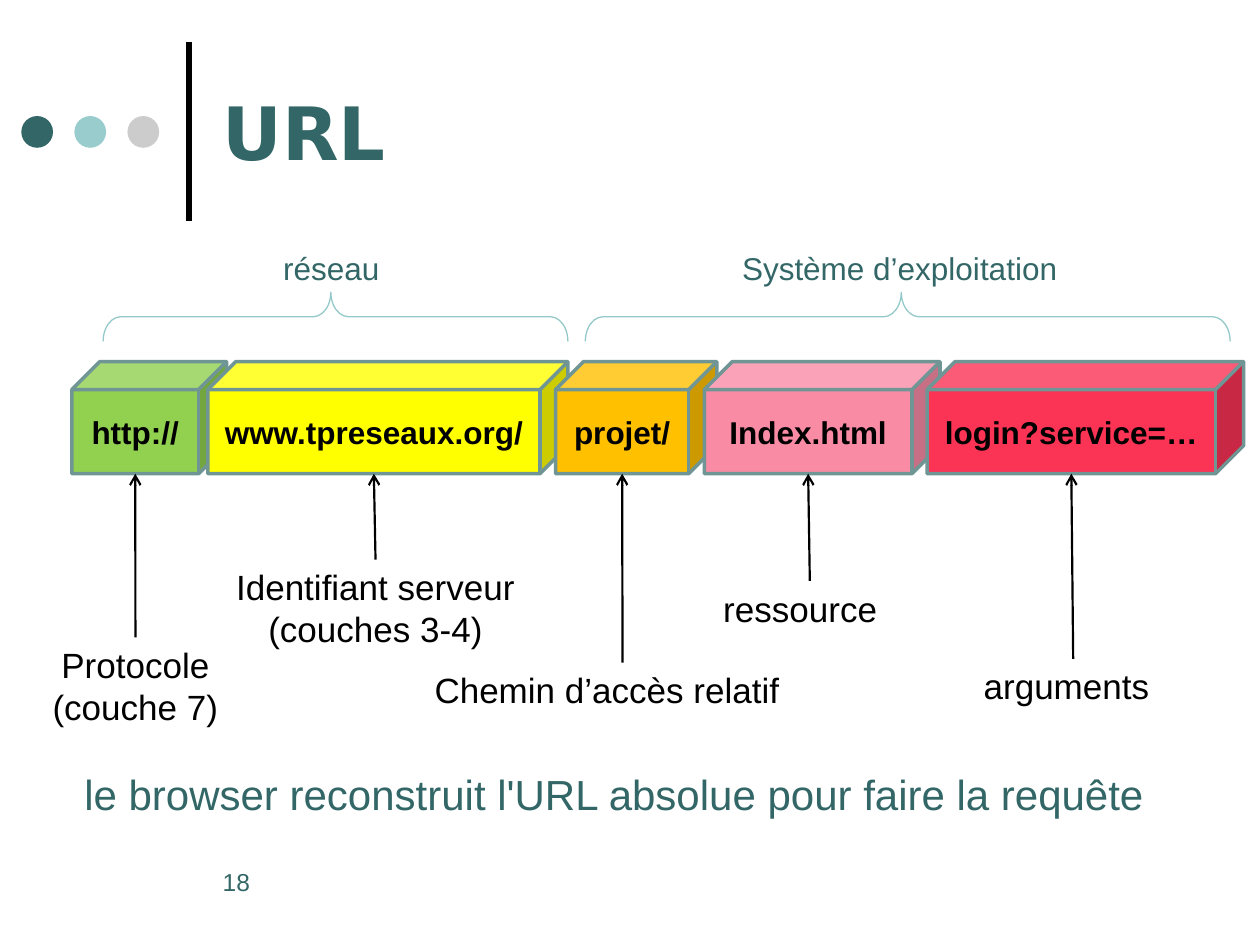
from typing import NamedTuple

from lxml import etree
from pptx import Presentation
from pptx.dml.color import RGBColor
from pptx.enum.shapes import MSO_CONNECTOR, MSO_SHAPE
from pptx.enum.text import MSO_ANCHOR, PP_ALIGN
from pptx.oxml.ns import qn
from pptx.util import Cm, Pt

CUBE, OVAL, BRACE = MSO_SHAPE.CUBE, MSO_SHAPE.OVAL, MSO_SHAPE.RIGHT_BRACE
LINE = MSO_CONNECTOR.STRAIGHT
LEFT, MID = PP_ALIGN.LEFT, PP_ALIGN.CENTER
TOP, CENTER = MSO_ANCHOR.TOP, MSO_ANCHOR.MIDDLE

BLACK = RGBColor(0x00, 0x00, 0x00)
TEAL = RGBColor(0x33, 0x66, 0x66)
AQUA = RGBColor(0x99, 0xCC, 0xCC)
GREY = RGBColor(0xCC, 0xCC, 0xCC)
EDGE = RGBColor(0x6F, 0x95, 0x95)
PALE = RGBColor(0x94, 0xC9, 0xC9)
GREEN = RGBColor(0x92, 0xD0, 0x50)
YELLOW = RGBColor(0xFF, 0xFF, 0x00)
ORANGE = RGBColor(0xFF, 0xC0, 0x00)
PINK = RGBColor(0xF9, 0x8B, 0xA5)
RED = RGBColor(0xFB, 0x33, 0x54)

# Cubes share one row; the depth is a quarter of the height
ROW_TOP, ROW_HIGH = 7.29, 2.26
DEPTH = ROW_HIGH / 4
BRACE_TOP, BRACE_HIGH = 5.89, 0.99


class Box(NamedTuple):
    left: float
    top: float
    wide: float
    high: float


class Part(NamedTuple):
    text: str
    left: float
    wide: float
    fill: RGBColor
    note: str
    area: Box
    align: PP_ALIGN


class Group(NamedTuple):
    text: str
    area: Box
    left: float
    wide: float


PARTS = [
    Part("http://", 1.45, 3.12, GREEN, "Protocole\n(couche 7)",
         Box(0.48, 12.85, 4.5, 1.96), MID),
    Part("www.tpreseaux.org/", 4.19, 7.26, YELLOW,
         "Identifiant serveur (couches 3-4)",
         Box(4.32, 11.28, 6.5, 1.96), MID),
    Part("projet/", 11.2, 3.25, ORANGE, "Chemin d’accès relatif",
         Box(8.51, 13.36, 8.08, 1.12), LEFT),
    Part("Index.html", 14.2, 4.75, PINK, "ressource",
         Box(14.33, 11.71, 3.99, 1.12), LEFT),
    Part("login?service=…", 18.69, 6.38, RED, "arguments",
         Box(19.58, 13.28, 4.11, 1.12), LEFT),
]

GROUPS = [
    Group("réseau", Box(5.46, 4.9, 3, 1.02), 2.08, 9.37),
    Group("Système d’exploitation", Box(14.71, 4.9, 7.24, 1.02), 11.8, 13),
]


def write(shape, text: str, size: float, color: RGBColor, bold=False,
          align=LEFT, anchor=TOP, face="Arial") -> None:
    frame = shape.text_frame
    frame.word_wrap = True
    frame.vertical_anchor = anchor
    frame.text = text
    style = {"name": face, "size": Pt(size), "bold": bold}
    for para in frame.paragraphs:
        para.alignment = align
        for run in para.runs:
            for key, value in style.items():
                setattr(run.font, key, value)
            run.font.color.rgb = color


def add_text(slide, box: Box, text: str, size: float, color: RGBColor,
             **look):
    shape = slide.shapes.add_textbox(*map(Cm, box))
    write(shape, text, size, color, **look)
    return shape


def add_solid(slide, kind, box: Box, fill: RGBColor):
    shape = slide.shapes.add_shape(kind, *map(Cm, box))
    shape.shadow.inherit = False
    shape.fill.solid()
    shape.fill.fore_color.rgb = fill
    shape.line.fill.background()
    return shape


def add_line(slide, x1: float, y1: float, x2: float, y2: float,
             width: float, arrow=False):
    line = slide.shapes.add_connector(LINE, Cm(x1), Cm(y1), Cm(x2), Cm(y2))
    line.line.color.rgb = BLACK
    line.line.width = Pt(width)
    if arrow:
        tip = etree.SubElement(line.line._get_or_add_ln(), qn("a:tailEnd"))
        tip.set("type", "arrow")
    etree.SubElement(line._element.spPr, qn("a:effectLst"))
    return line


def add_part(slide, part: Part) -> None:
    cube = add_solid(slide, CUBE,
                     Box(part.left, ROW_TOP, part.wide, ROW_HIGH), part.fill)
    cube.line.color.rgb = EDGE
    cube.line.width = Pt(2)
    write(cube, part.text, 18, BLACK, bold=True, align=MID, anchor=CENTER)


def add_note(slide, part: Part) -> None:
    area = part.area
    note = add_text(slide, area, part.note, 20, BLACK, align=part.align)
    # The arrow ends below the middle of the cube's front face
    front = part.left + (part.wide - DEPTH) / 2
    arrow = add_line(slide, area.left + area.wide / 2, area.top,
                     front, ROW_TOP + ROW_HIGH, 1.25, arrow=True)
    arrow.begin_connect(note, 0)


def add_group(slide, group: Group) -> None:
    # A right brace turned to point up: its width and height swap
    shift = (group.wide - BRACE_HIGH) / 2
    brace = slide.shapes.add_shape(
        BRACE, Cm(group.left + shift), Cm(BRACE_TOP - shift),
        Cm(BRACE_HIGH), Cm(group.wide))
    brace.rotation = 270
    brace.adjustments[0] = 0.36
    brace.adjustments[1] = 0.49
    brace.shadow.inherit = False
    brace.fill.background()
    brace.line.color.rgb = PALE
    brace.line.width = Pt(0.75)
    add_text(slide, group.area, group.text, 18, TEAL)


def main() -> None:
    deck = Presentation()
    deck.slide_width, deck.slide_height = Cm(25.4), Cm(19.05)
    slide = deck.slides.add_slide(deck.slide_layouts[6])

    # Heading with bar and dots
    add_line(slide, 3.81, 4.45, 3.81, 0.84, 3)
    for i, color in enumerate((TEAL, AQUA, GREY)):
        add_solid(slide, OVAL, Box(0.43 + 1.07 * i, 2.34, 0.64, 0.64), color)
    add_text(slide, Box(4.24, 0.53, 19.48, 4.24), "URL", 42, TEAL,
             bold=True, anchor=CENTER, face="DejaVu Sans")

    # Parts of the address, then their notes
    for part in PARTS:
        add_part(slide, part)
    for part in PARTS:
        add_note(slide, part)

    # Braces above the row
    for group in GROUPS:
        add_group(slide, group)

    # Closing sentence and page number
    add_text(slide, Box(1.45, 15.37, 23.11, 1.27),
             "le browser reconstruit l'URL absolue pour faire la requête",
             24, TEAL)
    add_text(slide, Box(4.24, 17.35, 3.61, 1.27), "18", 14, TEAL)

    deck.save("out.pptx")


if __name__ == "__main__":
    main()
